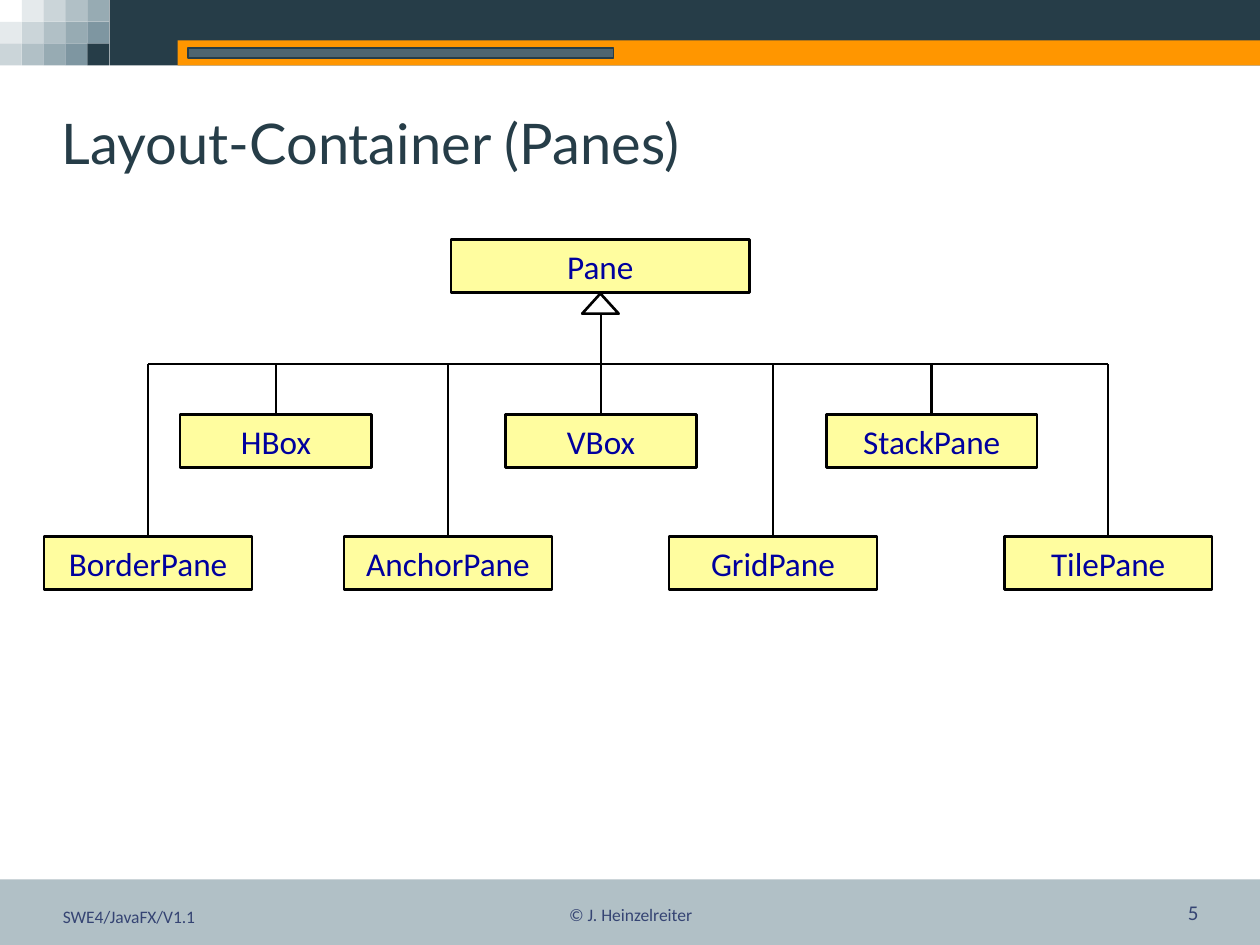
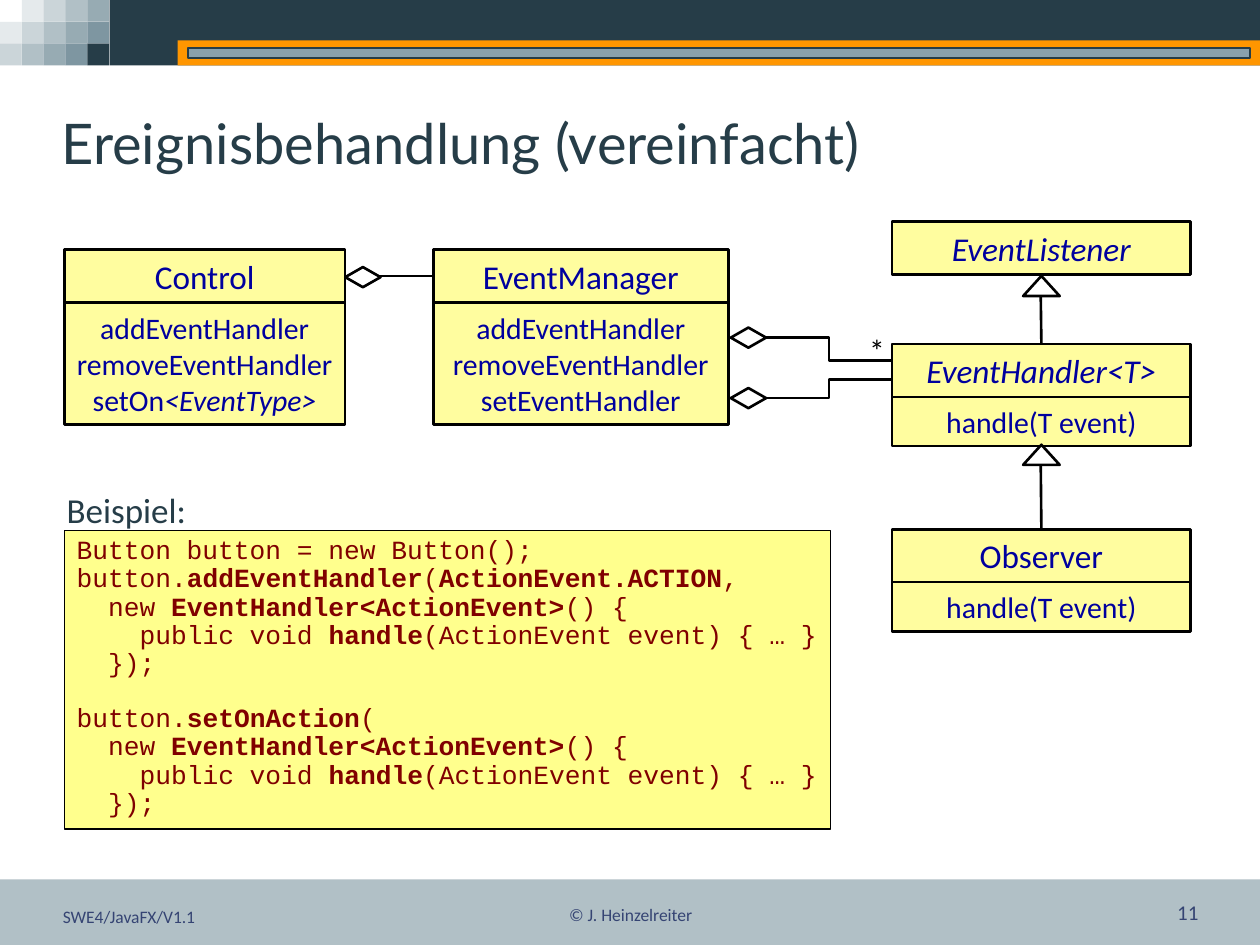
from dataclasses import dataclass

from lxml.etree import SubElement
from pptx import Presentation
from pptx.dml.color import RGBColor
from pptx.enum.shapes import MSO_CONNECTOR, MSO_SHAPE
from pptx.enum.text import MSO_ANCHOR, PP_ALIGN
from pptx.oxml.ns import qn
from pptx.util import Inches, Pt


@dataclass(frozen=True)
class Theme:
    dark: str = "263D48"
    slate: str = "7E96A1"
    orange: str = "FF9600"
    footer: str = "354473"
    class_fill: str = "FFFD9F"
    class_text: str = "00009E"
    code_fill: str = "FFFF8D"
    code_text: str = "800000"
    black: str = "000000"
    title_font: str = "Lato"
    body_font: str = "Calibri"
    code_font: str = "Courier New"
    title_size: int = 32
    label_size: int = 20
    class_size: int = 19
    star_size: int = 18
    member_size: int = 17
    code_size: int = 15
    number_size: int = 12
    footer_size: int = 10


theme = Theme()
LEFT, CENTER, RIGHT = PP_ALIGN.LEFT, PP_ALIGN.CENTER, PP_ALIGN.RIGHT


def add_shape(slide, preset, bounds, fill=None, line=None, weight=1.5, opacity=100):
    """Add a preset shape; bounds are left, top, width, height in inches."""
    shape = slide.shapes.add_shape(preset, *map(Inches, bounds))
    shape.shadow.inherit = False
    if fill:
        shape.fill.solid()
        shape.fill.fore_color.rgb = RGBColor.from_string(fill)
        if opacity < 100:
            color = shape._element.spPr.find(".//" + qn("a:srgbClr"))
            SubElement(color, qn("a:alpha"), val=str(opacity * 1000))
    else:
        shape.fill.background()
    if line:
        shape.line.color.rgb = RGBColor.from_string(line)
        shape.line.width = Pt(weight)
    else:
        shape.line.fill.background()
    return shape


def write(shape, lines, size, color, font=theme.body_font, align=CENTER,
          anchor=MSO_ANCHOR.MIDDLE, emphasis="italic"):
    """Write one paragraph per line; text between bars gets the emphasis."""
    text_frame = shape.text_frame
    text_frame.word_wrap = True
    text_frame.vertical_anchor = anchor
    text_frame.margin_left = Inches(0.1 if align == LEFT else 0)
    text_frame.margin_right = Inches(0.1 if align == RIGHT else 0)
    for number, line in enumerate(lines):
        paragraph = text_frame.add_paragraph() if number else text_frame.paragraphs[0]
        paragraph.alignment = align
        for position, text in enumerate(line.split("|")):
            if text:
                run = paragraph.add_run()
                run.text = text
                run.font.name = font
                run.font.size = Pt(size)
                run.font.color.rgb = RGBColor.from_string(color)
                setattr(run.font, emphasis, position % 2 == 1)


presentation = Presentation()
presentation.slide_width = Inches(10)
presentation.slide_height = Inches(7.5)

# Shared frame: mosaic, bands, progress bar, title and footer
band_height = 0.52
cell = band_height / 3
slides = []
for title, page, progress_width, progress_color in (
    ("Layout-Container (Panes)", "5", 3.38, "4E6570"),
    ("Ereignisbehandlung (vereinfacht)", "11", 8.43, "8AA1AC"),
):
    slide = presentation.slides.add_slide(presentation.slide_layouts[6])
    slides.append(slide)
    for row in range(3):
        for column in range(5):
            opacity = 20 * (row + column)
            if opacity:
                add_shape(slide, MSO_SHAPE.RECTANGLE, (column * cell, row * cell, cell, cell),
                          theme.slate if opacity <= 100 else theme.dark, opacity=opacity)
    for bounds, color, opacity in (
        ((0, 6.98, 10, band_height), theme.slate, 60),
        ((0.87, 0, 9.13, band_height), theme.dark, 100),
        ((1.41, 0.32, 8.59, 0.2), theme.orange, 100),
    ):
        add_shape(slide, MSO_SHAPE.RECTANGLE, bounds, color, opacity=opacity)
    add_shape(slide, MSO_SHAPE.RECTANGLE, (1.49, 0.38, progress_width, 0.08),
              progress_color, theme.dark, 1)

    title_box = slide.shapes.add_textbox(*map(Inches, (0.39, 0.76, 9.22, 0.73)))
    write(title_box, [title], theme.title_size, theme.dark, theme.title_font, LEFT)
    for bounds, text, size, align in (
        ((7.28, 7.09, 2.33, 0.3), page, theme.number_size, RIGHT),
        ((0.4, 7.09, 2.33, 0.32), "SWE4/JavaFX/V1.1", theme.footer_size, LEFT),
        ((3.42, 7.09, 3.17, 0.3), "© J. Heinzelreiter", theme.footer_size, CENTER),
    ):
        footer_box = slide.shapes.add_textbox(*map(Inches, bounds))
        write(footer_box, [text], size, theme.footer, align=align, anchor=MSO_ANCHOR.BOTTOM)

panes_slide, events_slide = slides
name_height = 0.42
# Each entry: slide, connector kind, begin x, begin y, end x, end y, joined box, side
connections = []

# Pane hierarchy
trunk_x, bus_y, triangle_bottom = 4.77, 2.89, 2.49
upper_row, lower_row = 3.29, 4.26
drops = []
for name, left, top, width in (
    ("Pane", 3.58, 1.9, 2.37),
    ("HBox", 1.43, upper_row, 1.52),
    ("VBox", 4.01, upper_row, 1.52),
    ("StackPane", 6.56, upper_row, 1.67),
    ("BorderPane", 0.35, lower_row, 1.65),
    ("AnchorPane", 2.73, lower_row, 1.65),
    ("GridPane", 5.31, lower_row, 1.65),
    ("TilePane", 7.97, lower_row, 1.65),
):
    pane = add_shape(panes_slide, MSO_SHAPE.RECTANGLE, (left, top, width, name_height),
                     theme.class_fill, theme.black)
    write(pane, [name], theme.class_size, theme.class_text)
    if name != "Pane":
        middle = left + width / 2
        drops.append(middle)
        connections.append((panes_slide, MSO_CONNECTOR.STRAIGHT,
                            middle, bus_y, middle, top, pane, 0))
for points in ((trunk_x, triangle_bottom, trunk_x, bus_y),
               (min(drops), bus_y, max(drops), bus_y)):
    connections.append((panes_slide, MSO_CONNECTOR.STRAIGHT, *points, None, None))

# Event classes
class_boxes = {}
for name, left, top, width, members in (
    ("Control", 0.51, 1.98, 2.23,
     ["addEventHandler", "removeEventHandler", "setOn|<EventType>|"]),
    ("EventManager", 3.44, 1.98, 2.34,
     ["addEventHandler", "removeEventHandler", "setEventHandler"]),
    ("|EventListener|", 7.08, 1.76, 2.37, []),
    ("|EventHandler<T>|", 7.08, 2.73, 2.37, ["handle(T event)"]),
    ("Observer", 7.08, 4.2, 2.37, ["handle(T event)"]),
):
    class_box = add_shape(events_slide, MSO_SHAPE.RECTANGLE, (left, top, width, name_height),
                          theme.class_fill, theme.black)
    write(class_box, [name], theme.class_size, theme.class_text)
    class_boxes[name.strip("|")] = class_box
    if members:
        member_box = add_shape(events_slide, MSO_SHAPE.RECTANGLE,
                               (left, top + name_height, width, 0.1 + 0.29 * len(members)),
                               theme.class_fill, theme.black)
        write(member_box, members, theme.member_size, theme.class_text)

# Inheritance triangles and aggregation diamonds
for slide, left, top in ((panes_slide, 4.62, 2.33), (events_slide, 8.12, 2.19),
                         (events_slide, 8.12, 3.53)):
    add_shape(slide, MSO_SHAPE.ISOSCELES_TRIANGLE, (left, top, 0.29, 0.16), line=theme.black)
for left, top in ((2.74, 2.12), (5.8, 2.6), (5.8, 3.08)):
    add_shape(events_slide, MSO_SHAPE.FLOWCHART_DECISION, (left, top, 0.28, 0.16),
              line=theme.black)

for kind, points, box_name, side in (
    (MSO_CONNECTOR.STRAIGHT, (3.02, 2.19, 3.44, 2.19), "EventManager", 1),
    (MSO_CONNECTOR.STRAIGHT, (8.26, 2.35, 8.26, 2.73), "EventHandler<T>", 0),
    (MSO_CONNECTOR.STRAIGHT, (8.26, 3.69, 8.26, 4.2), "Observer", 0),
    (MSO_CONNECTOR.ELBOW, (6.08, 2.68, 7.08, 2.86), None, None),
    (MSO_CONNECTOR.ELBOW, (6.08, 3.16, 7.08, 3.01), None, None),
):
    connections.append((events_slide, kind, *points, class_boxes.get(box_name), side))

for slide, kind, begin_x, begin_y, end_x, end_y, box, side in connections:
    connector = slide.shapes.add_connector(
        kind, *map(Inches, (begin_x, begin_y, end_x, end_y)))
    if box is not None:
        connector.end_connect(box, side)
    connector.line.color.rgb = RGBColor.from_string(theme.black)
    connector.line.width = Pt(1.5)
    SubElement(connector._element.spPr, qn("a:effectLst"))

star_box = events_slide.shapes.add_textbox(*map(Inches, (6.86, 2.58, 0.2, 0.4)))
write(star_box, ["*"], theme.star_size, theme.black)

# Code example
example_label = events_slide.shapes.add_textbox(*map(Inches, (0.43, 3.81, 4.45, 0.47)))
write(example_label, ["Beispiel:"], theme.label_size, theme.dark, align=LEFT)

handler_body = [
    (2, "new |EventHandler<ActionEvent>|() {"),
    (4, "public void |handle|(ActionEvent event) { … }"),
    (2, "});"),
]
code_lines = [
    (0, "Button button = new Button();"),
    (0, "button.|addEventHandler|(|ActionEvent.ACTION|,"),
    *handler_body,
    (0, "button.|setOnAction|("),
    *handler_body,
]
code_box = add_shape(events_slide, MSO_SHAPE.RECTANGLE, (0.51, 4.21, 6.08, 2.37),
                     theme.code_fill, theme.black, 0.75)
write(code_box, [text for _, text in code_lines], theme.code_size, theme.code_text,
      theme.code_font, LEFT, MSO_ANCHOR.TOP, "bold")
character_width = 0.6 * theme.code_size
for paragraph, (indent, text) in zip(code_box.text_frame.paragraphs, code_lines):
    paragraph.line_spacing = 0.9
    paragraph._p.get_or_add_pPr().set("marL", str(Pt(indent * character_width)))
    if "setOnAction" in text:
        paragraph.space_before = Pt(theme.code_size)

presentation.save("out.pptx")
